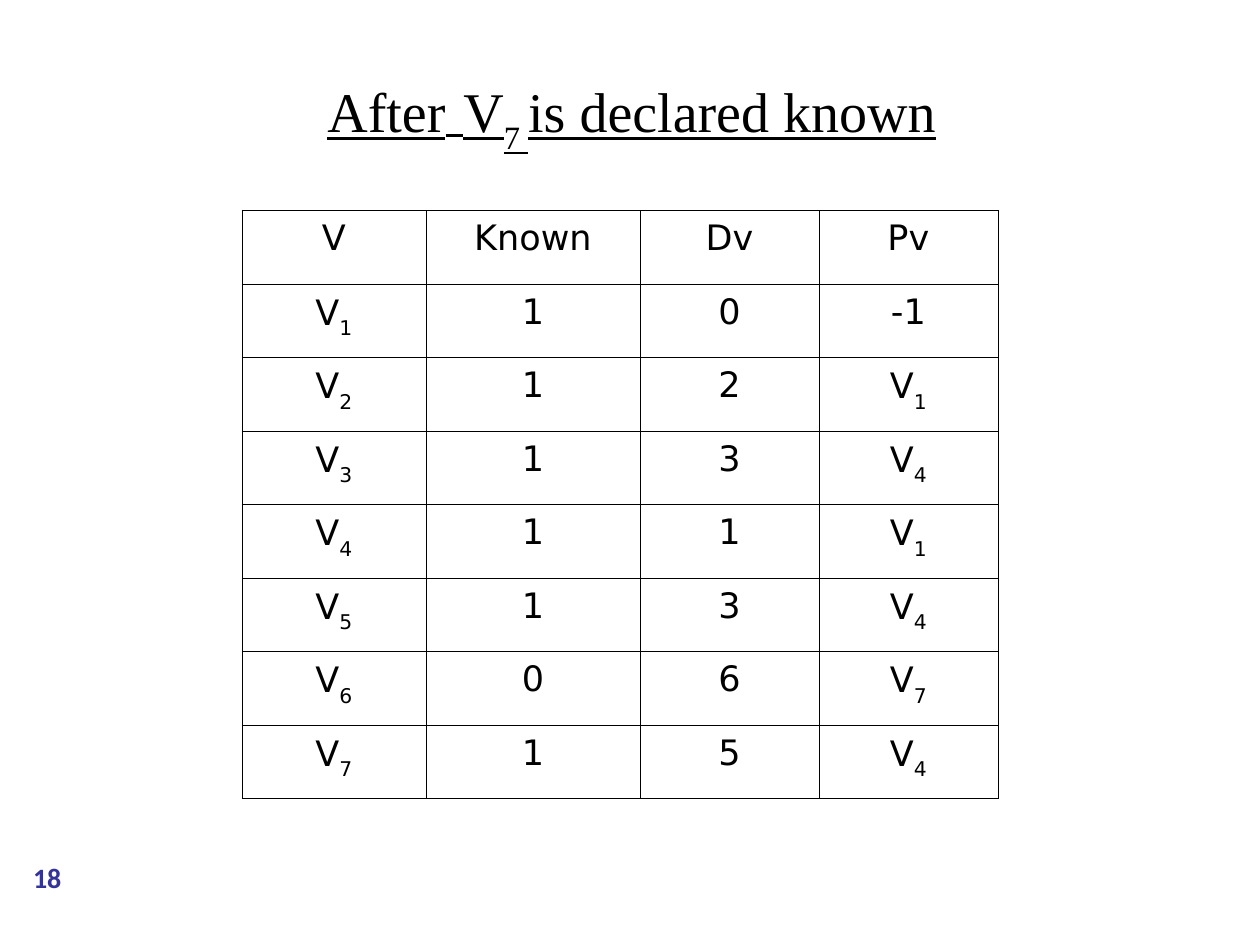
from lxml import etree
from pptx import Presentation
from pptx import util as u
from pptx.dml.color import RGBColor
from pptx.enum import shapes, text
from pptx.oxml.ns import qn

BLACK = RGBColor(0x00, 0x00, 0x00)
WHITE = RGBColor(0xFF, 0xFF, 0xFF)
INDIGO = RGBColor(0x33, 0x33, 0x99)
SERIF, SANS, NUMBER_FONT = "Times New Roman", "DejaVu Sans", "Calibri"

TITLE = [("After", SERIF), (" ", SANS), ("V_7 ", SERIF),
         ("is declared known", SERIF)]
ROWS = [
    ("V", "Known", "Dv", "Pv"),
    ("V_1", "1", "0", "-1"),
    ("V_2", "1", "2", "V_1"),
    ("V_3", "1", "3", "V_4"),
    ("V_4", "1", "1", "V_1"),
    ("V_5", "1", "3", "V_4"),
    ("V_6", "0", "6", "V_7"),
    ("V_7", "1", "5", "V_4"),
]


class Deck:
    """Style and current slide; lengths are units of a 40 by 30 grid."""

    title_style = {"size": u.Pt(32), "underline": True}
    cell_style = {"size": u.Pt(20), "name": SANS}
    number_style = {"size": u.Pt(16), "name": NUMBER_FONT, "bold": True}

    def __init__(self):
        self.prs = Presentation()
        self.prs.slide_width, self.prs.slide_height = u.Inches(10), u.Inches(7.5)
        self.unit = self.prs.slide_width // 40
        self.s = self.prs.slides.add_slide(self.prs.slide_layouts[6])

    def grid(self, *lengths):
        return [round(n * self.unit) for n in lengths]

    def add_runs(self, p, content, style, color=BLACK):
        """Add runs; what follows an underscore is a subscript."""
        for i, part in enumerate(content.split("_")):
            r = p.add_run()
            r.text = part
            for name, value in style.items():
                setattr(r.font, name, value)
            r.font.color.rgb = color
            if i:
                r.font._element.set("baseline", "-30000")

    def title(self, box, runs, indent):
        tf = self.s.shapes.add_textbox(*self.grid(*box)).text_frame
        tf.word_wrap = True
        tf.vertical_anchor = text.MSO_ANCHOR.MIDDLE
        p = tf.paragraphs[0]
        p._p.get_or_add_pPr().set("marL", str(self.grid(indent)[0]))
        for content, font in runs:
            self.add_runs(p, content, {**self.title_style, "name": font})

    def page_number(self, box, number):
        sp = self.s.shapes.add_shape(shapes.MSO_SHAPE.OVAL, *self.grid(*box))
        sp.shadow.inherit = False
        sp.fill.solid()
        sp.fill.fore_color.rgb = sp.line.color.rgb = WHITE
        sp.line.width = u.Pt(2)
        tf = sp.text_frame
        for side in ("left", "top", "right", "bottom"):
            setattr(tf, f"margin_{side}", 0)
        tf.vertical_anchor = text.MSO_ANCHOR.MIDDLE
        p = tf.paragraphs[0]
        p.alignment = text.PP_ALIGN.CENTER
        self.add_runs(p, number, self.number_style, INDIGO)

    def border(self, cell):
        tcPr = cell._tc.get_or_add_tcPr()
        for i, tag in enumerate(("a:lnL", "a:lnR", "a:lnT", "a:lnB")):
            ln = etree.Element(qn(tag), w=str(u.Pt(0.23)))
            fill = etree.SubElement(ln, qn("a:solidFill"))
            etree.SubElement(fill, qn("a:srgbClr"), val=str(BLACK))
            tcPr.insert(i, ln)

    def table(self, box, rows, widths):
        tbl = self.s.shapes.add_table(len(rows), len(widths), *self.grid(*box)).table
        tbl.first_row = tbl.horz_banding = False
        for col, width in zip(tbl.columns, self.grid(*widths)):
            col.width = width
        for row, values in zip(tbl.rows, rows):
            for cell, value in zip(row.cells, values):
                cell.fill.background()
                cell.margin_top = u.Inches(0.07)
                p = cell.text_frame.paragraphs[0]
                p.alignment = text.PP_ALIGN.CENTER
                p.line_spacing = 0.96
                self.add_runs(p, value, self.cell_style)
                self.border(cell)


def main():
    deck = Deck()
    # Slide number
    deck.page_number((0, 27.2, 3, 1.32), "18")
    # Heading
    deck.title((2, 0.84, 36, 5.72), TITLE, indent=8)
    # State of every vertex
    deck.table((7.68, 6.68, 24, 18.68), ROWS, (5.84, 6.8, 5.68, 5.68))
    deck.prs.save("out.pptx")


if __name__ == "__main__":
    main()
